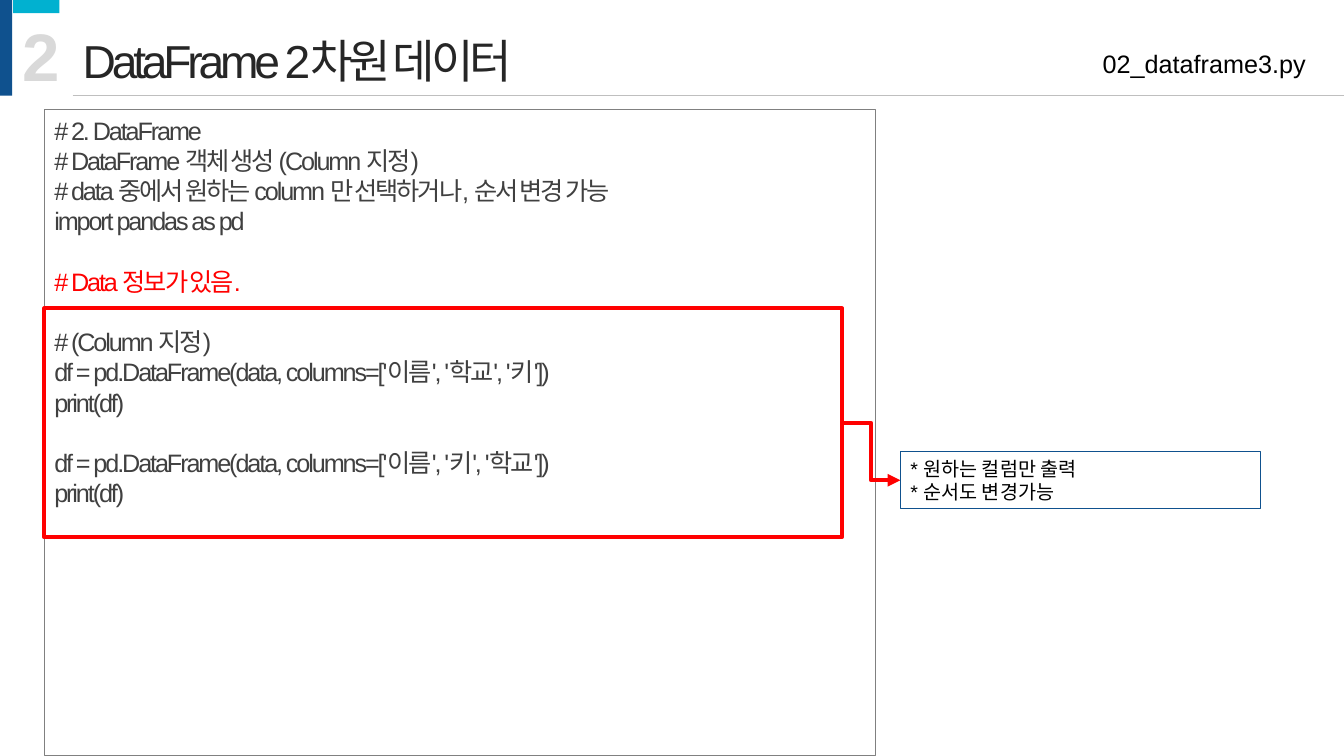
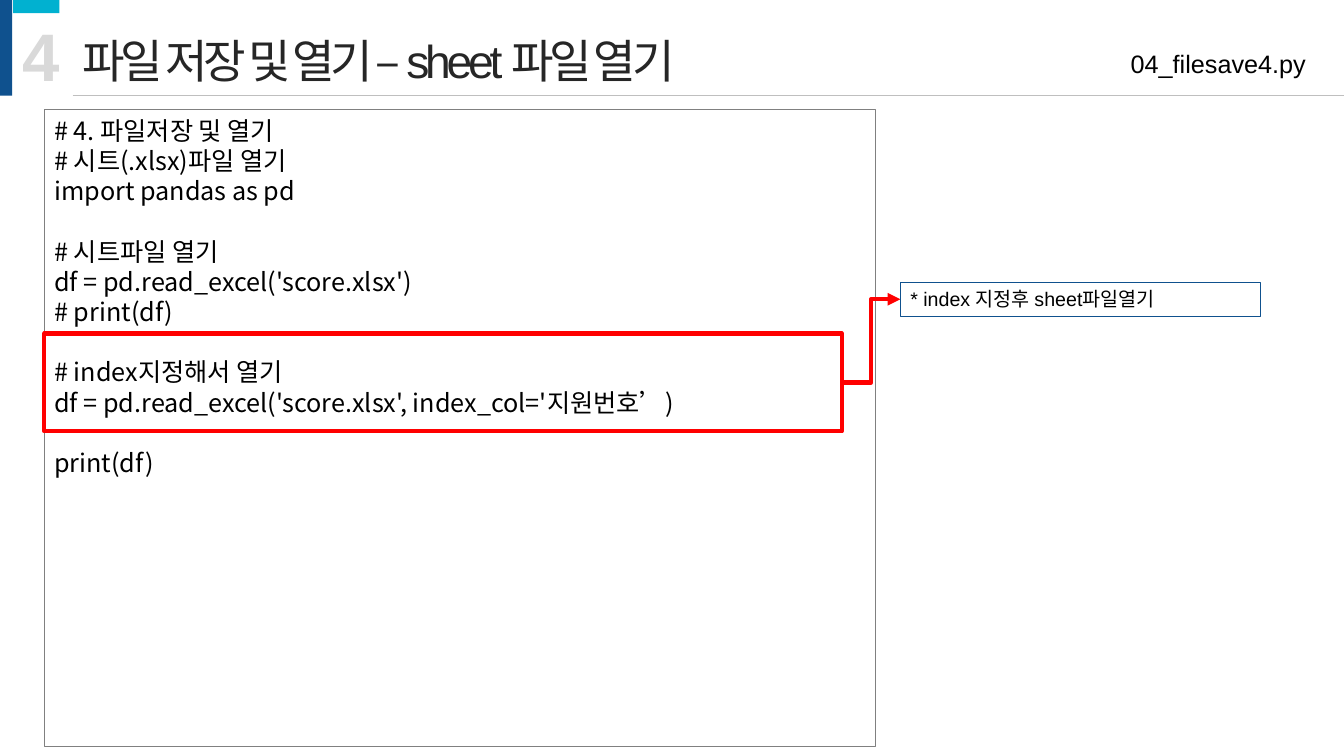
from dataclasses import dataclass

from lxml.etree import SubElement
from pptx import Presentation
from pptx.dml.color import RGBColor
from pptx.enum.shapes import MSO_CONNECTOR, MSO_SHAPE
from pptx.enum.text import MSO_ANCHOR, MSO_AUTO_SIZE, PP_ALIGN
from pptx.oxml.ns import qn
from pptx.util import Inches, Pt


@dataclass(frozen=True)
class TextStyle:
    size: int
    color: str
    font: str = "Arial"
    bold: bool = False
    tracking: float = 0


@dataclass(frozen=True)
class Theme:
    navy: str = "0F518E"
    cyan: str = "01B1D0"
    rule: str = "BFBFBF"
    border: str = "808080"
    accent: str = "FF0000"
    korean_font: str = "Noto Sans CJK KR"
    line_height: float = 1.2
    title: TextStyle = TextStyle(33, "262626", tracking=-3)
    number: TextStyle = TextStyle(48, "D9D9D9", bold=True)
    file_name: TextStyle = TextStyle(18, "000000")
    tight_code: TextStyle = TextStyle(18, "404040", tracking=-1.5)
    warning_code: TextStyle = TextStyle(18, "FF0000", tracking=-1.5)
    plain_code: TextStyle = TextStyle(18, "000000", font="Noto Sans CJK KR")
    note: TextStyle = TextStyle(14, "000000")


THEME = Theme()


@dataclass(frozen=True)
class CodeBlock:
    style: TextStyle
    lines: tuple


@dataclass(frozen=True)
class CodePage:
    number: str
    title: str
    file_name: str
    blocks: tuple
    code_height: float
    frame_top: float
    frame_height: float
    note_lines: tuple
    note_top: float
    note_height: float


PAGES = (
    CodePage(
        number="2",
        title="DataFrame 2차원 데이터",
        file_name="02_dataframe3.py",
        blocks=(
            CodeBlock(THEME.tight_code, (
                "# 2. DataFrame",
                "# DataFrame 객체 생성 (Column 지정)",
                "# data 중에서 원하는 column 만 선택하거나, 순서 변경 가능",
                "import pandas as pd",
            )),
            CodeBlock(THEME.warning_code, ("# Data 정보가 있음.",)),
            CodeBlock(THEME.tight_code, (
                "# (Column 지정)",
                "df = pd.DataFrame(data, columns=['이름', '학교', '키'])",
                "print(df)",
            )),
            CodeBlock(THEME.tight_code, (
                "df = pd.DataFrame(data, columns=['이름', '키', '학교'])",
                "print(df)",
            )),
        ),
        code_height=6.41,
        frame_top=3.06,
        frame_height=2.27,
        note_lines=("* 원하는 컬럼만 출력", "* 순서도 변경가능"),
        note_top=4.48,
        note_height=0.57,
    ),
    CodePage(
        number="4",
        title="파일 저장 및 열기 – sheet 파일 열기",
        file_name="04_filesave4.py",
        blocks=(
            CodeBlock(THEME.plain_code, (
                "# 4. 파일저장 및 열기",
                "# 시트(.xlsx)파일 열기",
                "import pandas as pd",
            )),
            CodeBlock(THEME.plain_code, (
                "# 시트파일 열기",
                "df = pd.read_excel('score.xlsx')",
                "# print(df)",
            )),
            CodeBlock(THEME.plain_code, (
                "# index지정해서 열기",
                "df = pd.read_excel('score.xlsx', index_col='지원번호’)",
            )),
            CodeBlock(THEME.plain_code, ("print(df)",)),
        ),
        code_height=6.32,
        frame_top=3.31,
        frame_height=0.97,
        note_lines=("* index 지정후 sheet파일열기",),
        note_top=2.8,
        note_height=0.34,
    ),
)


def rgb(color):
    return RGBColor.from_string(color)


# Text
def set_frame(box, anchor=MSO_ANCHOR.TOP, wrap=True):
    frame = box.text_frame
    frame.auto_size = MSO_AUTO_SIZE.NONE
    frame.word_wrap = wrap
    frame.vertical_anchor = anchor
    frame.margin_left = frame.margin_right = Inches(0.1)
    frame.margin_top = frame.margin_bottom = Inches(0.05)


def add_span(para, text, style):
    span = para.add_run()
    span.text = text
    font = span.font
    font.name = style.font
    font.size = Pt(style.size)
    font.bold = style.bold
    font.color.rgb = rgb(style.color)
    properties = span._r.get_or_add_rPr()
    properties.set("spc", str(round(style.tracking * 100)))
    SubElement(properties, qn("a:ea")).set("typeface", THEME.korean_font)


def write_blocks(box, blocks, align=PP_ALIGN.LEFT):
    """Write one paragraph a line, with one line of space between blocks."""
    frame = box.text_frame
    for block_index, block in enumerate(blocks):
        pitch = Pt(block.style.size * THEME.line_height)
        for line_index, line in enumerate(block.lines):
            is_first = block_index == line_index == 0
            para = frame.paragraphs[0] if is_first else frame.add_paragraph()
            para.alignment = align
            para.line_spacing = pitch
            starts_block = block_index > 0 and line_index == 0
            para.space_before = pitch if starts_block else Pt(0)
            add_span(para, line, block.style)


def add_label(page, place, text, style, align=PP_ALIGN.LEFT, wrap=True):
    box = page.shapes.add_textbox(*map(Inches, place))
    set_frame(box, wrap=wrap)
    write_blocks(box, [CodeBlock(style, (text,))], align)


# Shapes
def add_rectangle(page, place, fill=None, line=None, width=0.75):
    box = page.shapes.add_shape(MSO_SHAPE.RECTANGLE, *map(Inches, place))
    box.shadow.inherit = False
    if fill:
        box.fill.solid()
        box.fill.fore_color.rgb = rgb(fill)
    else:
        box.fill.background()
    if line:
        box.line.color.rgb = rgb(line)
        box.line.width = Pt(width)
    else:
        box.line.fill.background()
    return box


def add_text_panel(page, place, line, blocks):
    panel = add_rectangle(page, place, line=line)
    set_frame(panel)
    write_blocks(panel, blocks)
    return panel


def add_line(page, kind, ends, color, width, arrow=False):
    connector = page.shapes.add_connector(kind, *map(Inches, ends))
    connector.line.color.rgb = rgb(color)
    connector.line.width = Pt(width)
    if arrow:
        outline = connector.line._get_or_add_ln()
        SubElement(outline, qn("a:tailEnd")).set("type", "triangle")
    SubElement(connector._element.spPr, qn("a:effectLst"))
    return connector


# Page parts
def add_header(page, content):
    add_rectangle(page, (0, 0, 0.12, 0.95), fill=THEME.navy)
    add_rectangle(page, (0.13, 0, 0.46, 0.13), fill=THEME.cyan)

    title = page.shapes.title
    title.left, title.top = Inches(0.72), Inches(0.26)
    title.width, title.height = Inches(12.17), Inches(0.67)
    set_frame(title, MSO_ANCHOR.MIDDLE)
    write_blocks(title, [CodeBlock(THEME.title, (content.title,))])

    add_label(page, (0.12, 0.09, 0.58, 0.91), content.number, THEME.number,
              wrap=False)
    add_line(page, MSO_CONNECTOR.STRAIGHT, (0.72, 0.95, 13.33, 0.95),
             THEME.rule, 0.5)
    add_label(page, (8.93, 0.43, 4.12, 0.4), content.file_name,
              THEME.file_name, PP_ALIGN.RIGHT)


def add_code(page, content):
    add_text_panel(page, (0.44, 1.09, 8.24, content.code_height),
                   THEME.border, content.blocks)


def add_callout(page, content):
    left, width, note_left = 0.44, 7.91, 8.93
    frame_middle = content.frame_top + content.frame_height / 2
    note_middle = content.note_top + content.note_height / 2
    add_line(page, MSO_CONNECTOR.ELBOW,
             (left + width, frame_middle, note_left, note_middle),
             THEME.accent, 3, arrow=True)
    add_text_panel(page, (note_left, content.note_top, 3.57,
                          content.note_height),
                   THEME.navy, [CodeBlock(THEME.note, content.note_lines)])
    add_rectangle(page, (left, content.frame_top, width,
                         content.frame_height),
                  line=THEME.accent, width=3)


def main():
    deck = Presentation()
    deck.slide_width, deck.slide_height = Inches(13.33), Inches(7.5)
    title_only = deck.slide_layouts.get_by_name("Title Only")
    for content in PAGES:
        page = deck.slides.add_slide(title_only)
        add_header(page, content)
        add_code(page, content)
        add_callout(page, content)
    deck.save("out.pptx")


if __name__ == "__main__":
    main()
